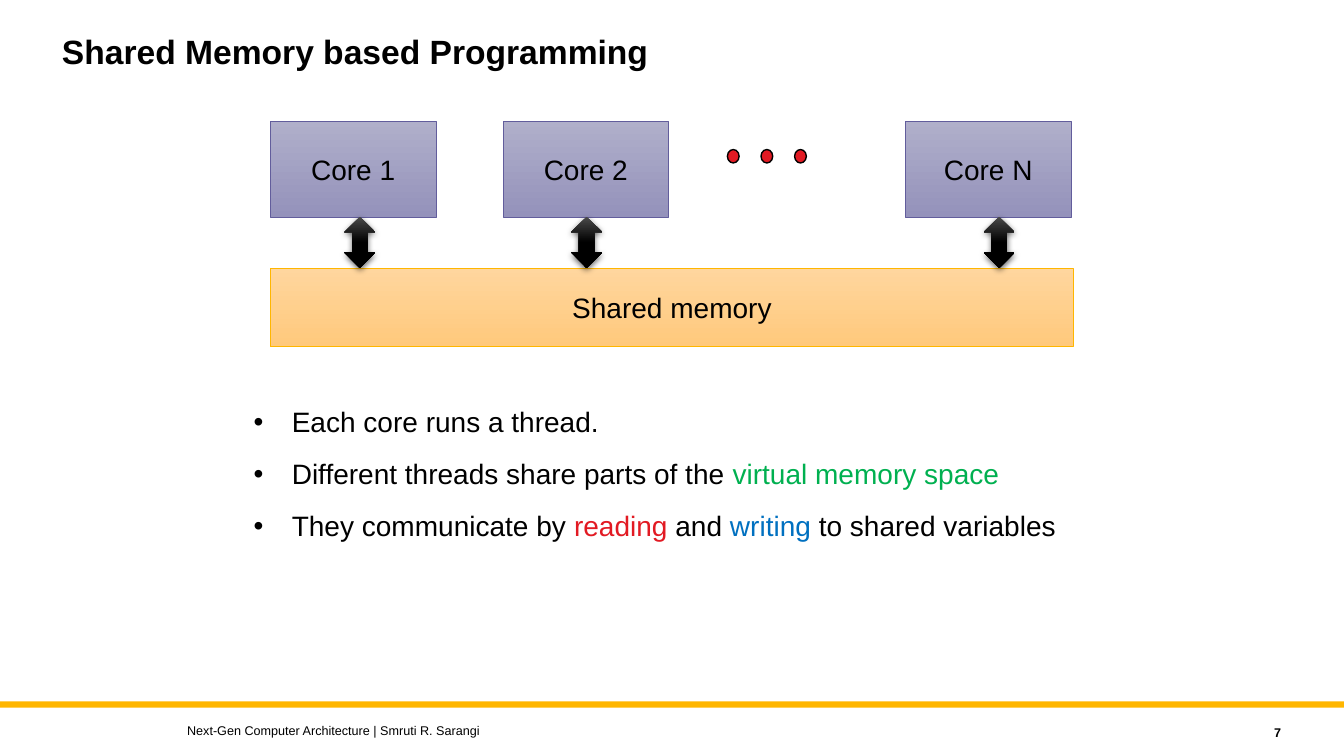
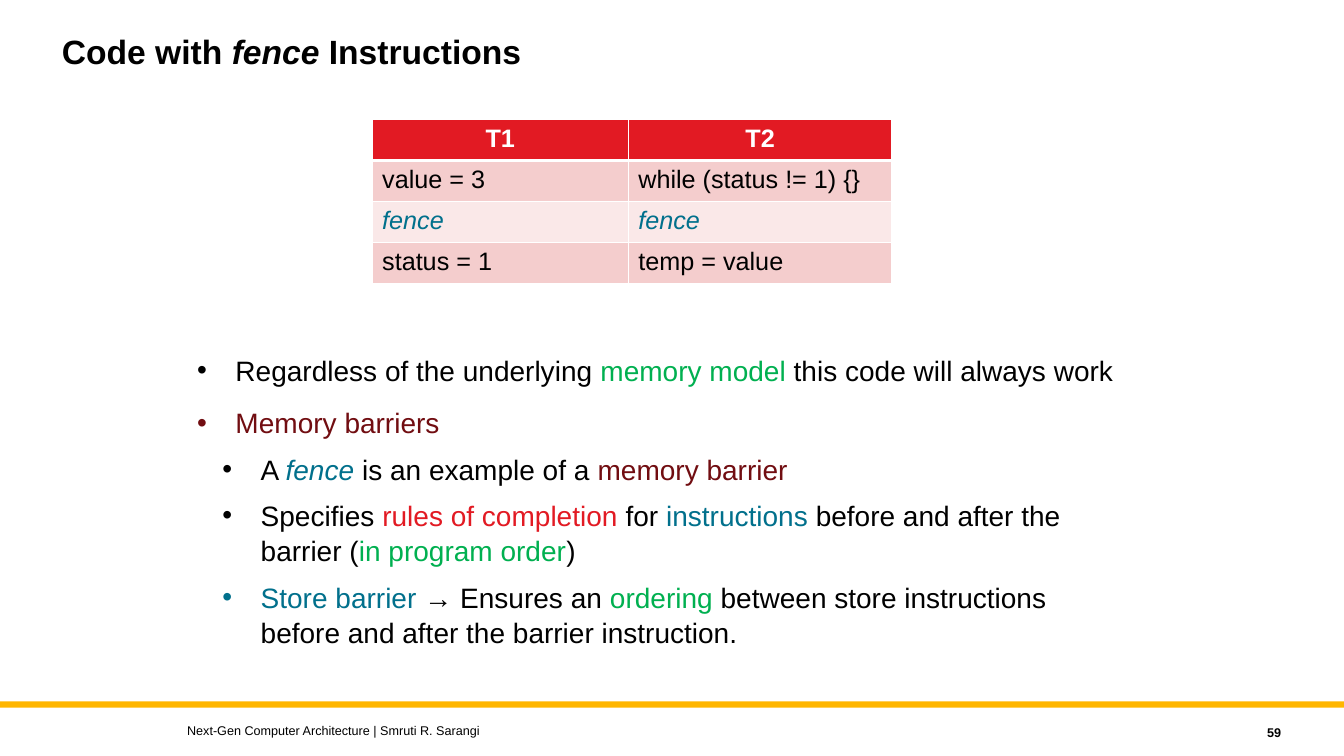
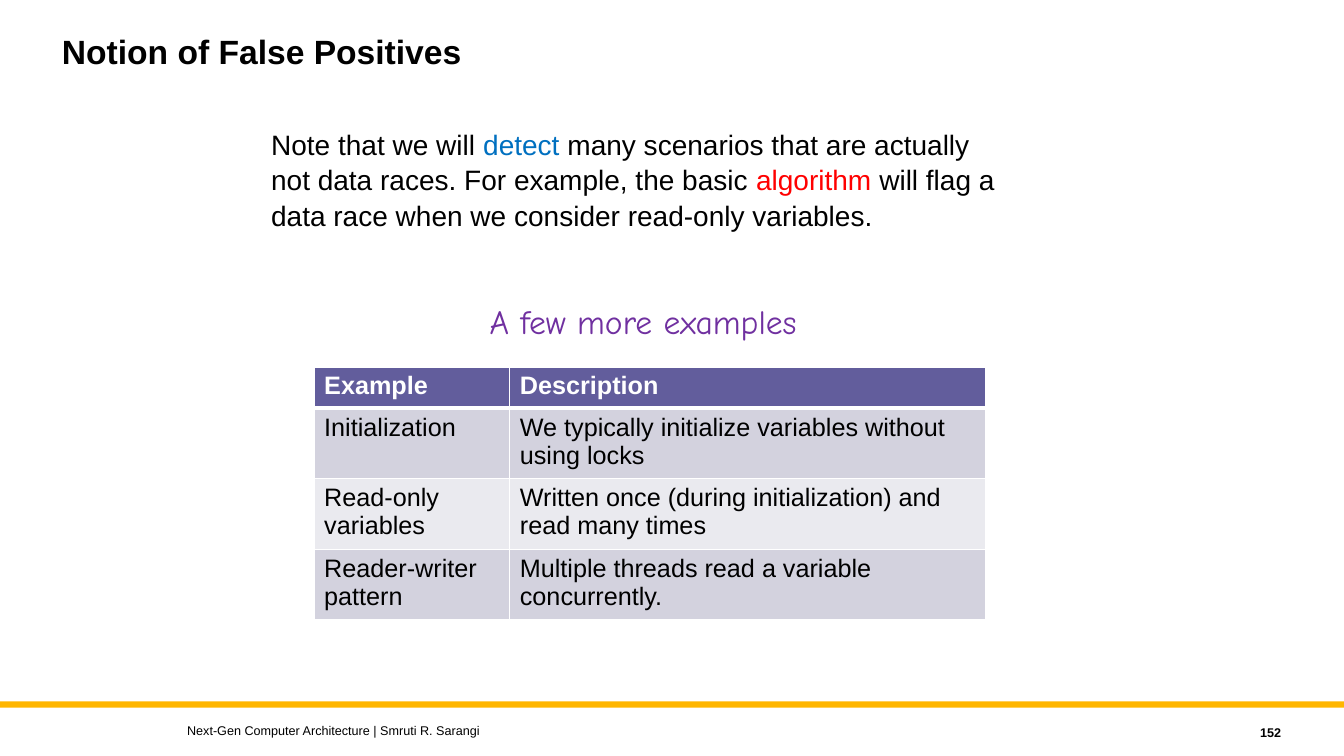
"""Builds three lecture slides on shared memory, fences and false positives."""
from dataclasses import dataclass
from typing import Any, Optional, Sequence

from lxml import etree
from pptx import Presentation
from pptx import util as u
from pptx.dml.color import RGBColor
from pptx.enum import shapes, text
from pptx.oxml import ns

CELL = u.Inches(1) // 12
COLUMNS, ROWS = 160, 90
FONT = "Arial"
BODY_SIZE, TABLE_SIZE = 20, 18
FOOTER = "Next-Gen Computer Architecture | Smruti R. Sarangi"

BLACK = RGBColor(0x00, 0x00, 0x00)
WHITE = RGBColor(0xFF, 0xFF, 0xFF)
AMBER = RGBColor(0xFF, 0xB6, 0x00)
RED = RGBColor(0xE2, 0x1A, 0x23)
BRIGHT_RED = RGBColor(0xFF, 0x00, 0x00)
MAROON = RGBColor(0x71, 0x0D, 0x11)
GREEN = RGBColor(0x00, 0xB0, 0x50)
BLUE = RGBColor(0x00, 0x70, 0xC0)
TEAL = RGBColor(0x01, 0x70, 0x8C)
PURPLE = RGBColor(0x70, 0x30, 0xA0)
INDIGO = RGBColor(0x62, 0x5D, 0x9C)
INDIGO_LIGHT = RGBColor(0xB0, 0xAF, 0xCA)
INDIGO_MID = RGBColor(0x94, 0x92, 0xBB)
ORANGE_LIGHT = RGBColor(0xFF, 0xD6, 0x9E)
ORANGE_MID = RGBColor(0xFF, 0xC9, 0x7C)
CHARCOAL = RGBColor(0x4B, 0x4B, 0x4B)
PINK = RGBColor(0xF4, 0xCD, 0xCD)
PINK_PALE = RGBColor(0xFA, 0xE8, 0xE8)
LILAC = RGBColor(0xD3, 0xD2, 0xDE)
LILAC_PALE = RGBColor(0xEA, 0xEA, 0xEF)


@dataclass(frozen=True)
class Box:
    """A rectangle in grid columns and rows."""
    left: float
    top: float
    width: float
    height: float

    def lengths(self) -> tuple[int, ...]:
        """Return the rectangle in slide units."""
        return tuple(grid(n) for n in (self.left, self.top, self.width, self.height))


@dataclass(frozen=True)
class Run:
    """A stretch of text in one style."""
    words: str
    color: RGBColor = BLACK
    italic: bool = False
    bold: bool = False
    size: float = BODY_SIZE
    font: str = FONT


@dataclass(frozen=True)
class Para:
    """A paragraph; level None means no bullet."""
    runs: Sequence[Run]
    level: Optional[int] = None
    align: Any = text.PP_ALIGN.LEFT
    spacing: float = 1.0


@dataclass(frozen=True)
class Look:
    """Fill and outline of a shape; end_color makes a vertical gradient."""
    color: RGBColor
    end_color: Optional[RGBColor] = None
    end_position: float = 1.0
    line: Optional[RGBColor] = None
    line_width: float = 0.5


@dataclass(frozen=True)
class TableLook:
    """Colours and header alignment of a table."""
    header: RGBColor
    odd: RGBColor
    even: RGBColor
    header_align: Any = text.PP_ALIGN.LEFT


CORE = Look(INDIGO_LIGHT, INDIGO_MID, line=INDIGO)
MEMORY = Look(ORANGE_LIGHT, ORANGE_MID, line=AMBER)
ARROW = Look(CHARCOAL, BLACK, 0.5)
DOT = Look(RED, line=BLACK, line_width=1)


def grid(count: float) -> int:
    """Turn grid cells into slide units."""
    return u.Emu(round(count * CELL))


def assign(target: Any, values: dict[str, Any]) -> None:
    """Set attributes from format values."""
    for name, value in values.items():
        setattr(target, name, value)


def add_element(parent: Any, tag: str, **attributes: Any) -> Any:
    """Append a drawing element."""
    values = {name: str(value) for name, value in attributes.items()}
    return etree.SubElement(parent, ns.qn(tag), values)


def write(frame: Any, paragraphs: Sequence[Para]) -> None:
    """Fill a text frame with paragraphs."""
    for index, para in enumerate(paragraphs):
        paragraph = frame.paragraphs[0] if index == 0 else frame.add_paragraph()
        if para.level is not None:
            properties = paragraph._p.get_or_add_pPr()
            hang = u.Inches(0.38)
            properties.set("marL", str(hang + para.level * u.Inches(0.25)))
            properties.set("indent", str(-hang))
            add_element(properties, "a:buFont", typeface=FONT)
            add_element(properties, "a:buChar", char="•")
        before = 0 if index == 0 else 8 if para.level else 12
        assign(paragraph, {"alignment": para.align, "level": para.level or 0,
                           "line_spacing": para.spacing, "space_before": u.Pt(before)})
        for item in para.runs:
            run = paragraph.add_run()
            run.text = item.words
            assign(run.font, {"name": item.font, "size": u.Pt(item.size),
                              "bold": item.bold, "italic": item.italic})
            run.font.color.rgb = item.color


def add_text(slide: Any, box: Box, paragraphs: Sequence[Para],
             anchor: Any = text.MSO_ANCHOR.TOP, wrap: bool = True) -> None:
    """Add a text box."""
    frame = slide.shapes.add_textbox(*box.lengths()).text_frame
    assign(frame, {"word_wrap": wrap, "vertical_anchor": anchor})
    write(frame, paragraphs)


def add_shape(slide: Any, kind: Any, box: Box, look: Look, label: str = "") -> Any:
    """Add a preset shape with an optional centred label."""
    shape = slide.shapes.add_shape(kind, *box.lengths())
    shape.shadow.inherit = False
    if look.end_color is None:
        shape.fill.solid()
        shape.fill.fore_color.rgb = look.color
    else:
        shape.fill.gradient()
        shape.fill.gradient_angle = 270
        first, last = shape.fill.gradient_stops
        first.color.rgb, last.color.rgb = look.color, look.end_color
        first.position, last.position = 0, look.end_position
    if look.line is None:
        shape.line.fill.background()
    else:
        shape.line.color.rgb = look.line
        shape.line.width = u.Pt(look.line_width)
    if label:
        shape.text_frame.vertical_anchor = text.MSO_ANCHOR.MIDDLE
        write(shape.text_frame, [Para([Run(label)], align=text.PP_ALIGN.CENTER)])
    return shape


def add_shadow(shape: Any) -> None:
    """Give a shape a soft shadow below it."""
    effects = shape._element.spPr.find(ns.qn("a:effectLst"))
    shadow = add_element(effects, "a:outerShdw", blurRad=u.Pt(4.5), dist=u.Pt(1.5),
                         dir=90 * 60000, rotWithShape=0)
    add_element(add_element(shadow, "a:srgbClr", val=BLACK), "a:alpha", val=63000)


def add_borders(cell: Any, top: float, bottom: float) -> None:
    """Draw white borders round a table cell."""
    properties = cell._tc.get_or_add_tcPr()
    for side, width in {"L": 1, "R": 1, "T": top, "B": bottom}.items():
        line = add_element(properties, f"a:ln{side}", w=u.Pt(width))
        add_element(add_element(line, "a:solidFill"), "a:srgbClr", val=WHITE)


def add_table(slide: Any, left: float, top: float, widths: Sequence[float],
              heights: Sequence[float], look: TableLook,
              rows: Sequence[Sequence[str]], emphasis: str = "") -> None:
    """Add a banded table; cells equal to emphasis are teal italics."""
    box = Box(left, top, sum(widths), sum(heights))
    table = slide.shapes.add_table(len(rows), len(widths), *box.lengths()).table
    table.horz_banding = False
    for column, width in zip(table.columns, widths):
        column.width = grid(width)
    for index, (row, height, words) in enumerate(zip(table.rows, heights, rows)):
        row.height = grid(height)
        header = index == 0
        fill = look.header if header else look.odd if index % 2 else look.even
        for cell, word in zip(row.cells, words):
            add_borders(cell, 3 if index == 1 else 1, 3 if header else 1)
            cell.fill.solid()
            cell.fill.fore_color.rgb = fill
            marked = word == emphasis
            color = WHITE if header else TEAL if marked else BLACK
            align = look.header_align if header else text.PP_ALIGN.LEFT
            run = Run(word, color, marked, header, TABLE_SIZE)
            write(cell.text_frame, [Para([run], align=align)])


def add_slide(presentation: Any, number: int, *title: tuple[str, bool]) -> Any:
    """Add a slide with the shared band, title and footer."""
    slide = presentation.slides.add_slide(presentation.slide_layouts[6])
    add_shape(slide, shapes.MSO_SHAPE.RECTANGLE, Box(0, 83.5, COLUMNS, 0.75), Look(AMBER))
    heading = [Run(words, italic=italic, bold=True, size=24) for words, italic in title]
    add_text(slide, Box(6.2, 3.6, 120, 10.8), [Para(heading, spacing=0.9)])
    middle = text.MSO_ANCHOR.MIDDLE
    add_text(slide, Box(21.1, 85.4, 96, 3), [Para([Run(FOOTER, size=9)])], middle)
    page = Para([Run(str(number), bold=True, size=9)], align=text.PP_ALIGN.RIGHT)
    add_text(slide, Box(136.9, 85.7, 16.8, 3), [page], middle)
    return slide


def body(*runs: Run, level: Optional[int] = 0) -> Para:
    """Return a body paragraph."""
    return Para(runs, level, spacing=1.05)


def add_shared_memory(presentation: Any) -> None:
    """Add the slide on cores and shared memory."""
    slide = add_slide(presentation, 7, ("Shared Memory based Programming", False))
    add_text(slide, Box(29, 47.4, 98.5, 28.9), [
        body(Run("Each core runs a thread.")),
        body(Run("Different threads share parts of the "), Run("virtual memory space", GREEN)),
        body(Run("They communicate by "), Run("reading", RED), Run(" and "),
             Run("writing", BLUE), Run(" to shared variables")),
    ])
    kinds = shapes.MSO_SHAPE
    for name, left in {"1": 32.2, "2": 59.9, "N": 107.8}.items():
        add_shape(slide, kinds.RECTANGLE, Box(left, 14.4, 19.7, 11.5), CORE, f"Core {name}")
    for index in range(3):
        add_shape(slide, kinds.OVAL, Box(86.6 + 4 * index, 17.8, 1.4, 1.6), DOT)
    add_shape(slide, kinds.RECTANGLE, Box(32.2, 31.9, 95.6, 9.4), MEMORY, "Shared memory")
    for left in (41, 68, 117.1):
        add_shadow(add_shape(slide, kinds.UP_DOWN_ARROW, Box(left, 25.8, 3.7, 6.1), ARROW))


def add_fences(presentation: Any) -> None:
    """Add the slide on fence instructions."""
    slide = add_slide(presentation, 59, ("Code with ", False), ("fence ", True),
                      ("Instructions", False))
    add_text(slide, Box(22.3, 41.3, 113, 36.8), [
        body(Run("Regardless of the underlying "), Run("memory model ", GREEN),
             Run("this code will always work")),
        body(Run("Memory barriers", MAROON)),
        body(Run("A "), Run("fence ", TEAL, True), Run("is an example of a "),
             Run("memory barrier", MAROON), level=1),
        body(Run("Specifies "), Run("rules of completion ", RED), Run("for "),
             Run("instructions", TEAL), Run(" before and after the barrier ("),
             Run("in program order", GREEN), Run(")"), level=1),
        body(Run("Store barrier ", TEAL), Run("→ Ensures an "), Run("ordering", GREEN),
             Run(" between store instructions before and after the barrier instruction."),
             level=1),
    ])
    look = TableLook(RED, PINK, PINK_PALE, text.PP_ALIGN.CENTER)
    add_table(slide, 44.3, 14.2, (30.5, 31.4), [4.9] * 4, look, [
        ("T1", "T2"),
        ("value = 3", "while (status != 1) {}"),
        ("fence", "fence"),
        ("status = 1", "temp = value"),
    ], emphasis="fence")


def add_false_positives(presentation: Any) -> None:
    """Add the slide on false positives."""
    slide = add_slide(presentation, 152, ("Notion of False Positives", False))
    add_text(slide, Box(31.1, 14.4, 90, 14.5), [
        body(Run("Note that we will "), Run("detect", BLUE),
             Run(" many scenarios that are actually not data races. "
                 "For example, the basic "),
             Run("algorithm", BRIGHT_RED),
             Run(" will flag a data race when we consider read-only variables."),
             level=None),
    ])
    examples = Run("A few more examples", PURPLE, size=24, font="Comic Neue")
    add_text(slide, Box(57.1, 35.2, 42.6, 6), [Para([examples])], wrap=False)
    look = TableLook(INDIGO, LILAC, LILAC_PALE)
    add_table(slide, 37.4, 43.7, (23.3, 56.6), [4.9] + [8.4] * 3, look, [
        ("Example", "Description"),
        ("Initialization", "We typically initialize variables without using locks"),
        ("Read-only variables", "Written once (during initialization) and read many times"),
        ("Reader-writer pattern", "Multiple threads read a variable concurrently."),
    ])


def main() -> None:
    """Build and save the presentation."""
    presentation = Presentation()
    assign(presentation, {"slide_width": grid(COLUMNS), "slide_height": grid(ROWS)})
    add_shared_memory(presentation)
    add_fences(presentation)
    add_false_positives(presentation)
    presentation.save("out.pptx")


if __name__ == "__main__":
    main()
